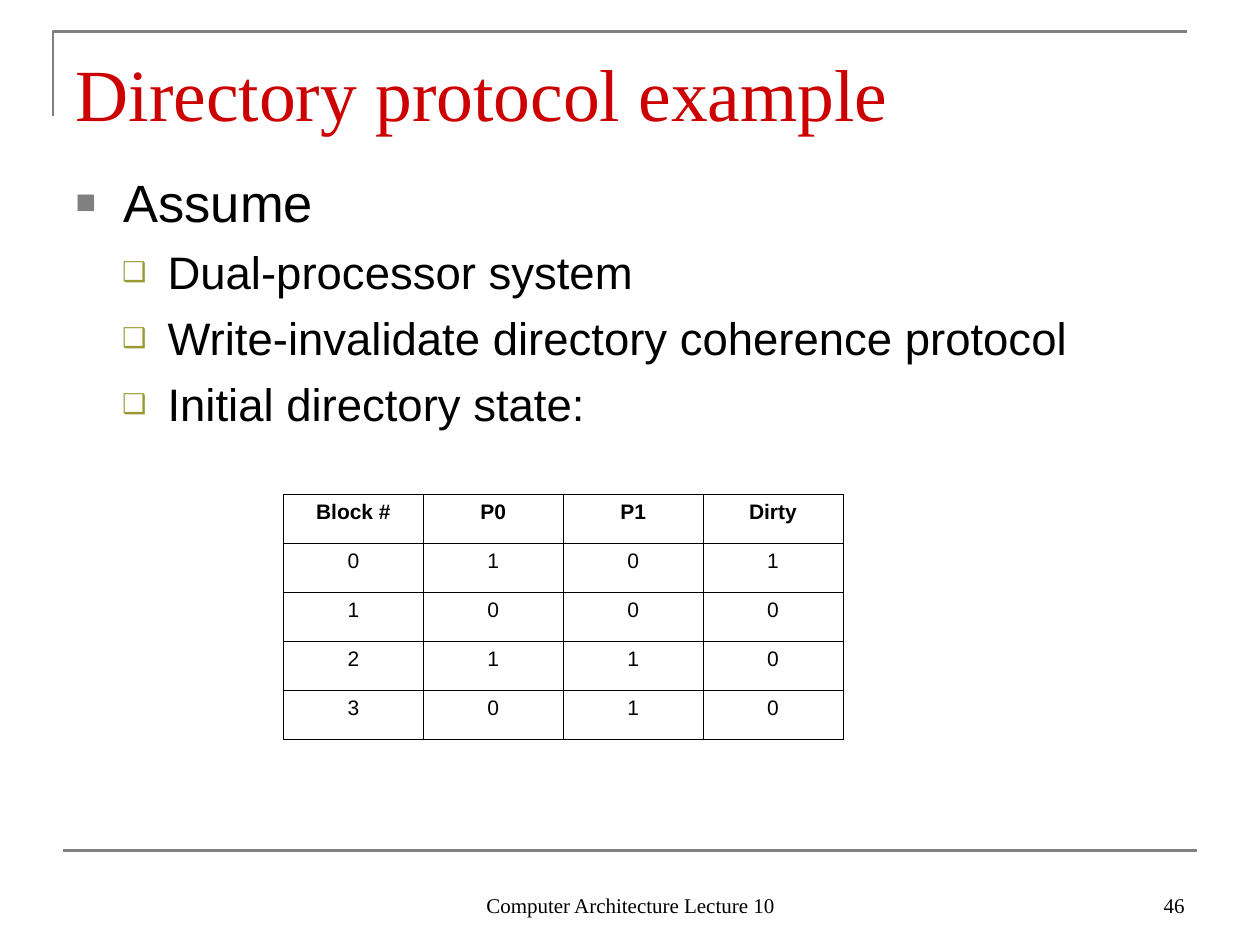
from dataclasses import dataclass

from lxml.etree import SubElement
from pptx import Presentation
from pptx.dml.color import RGBColor
from pptx.enum.shapes import MSO_CONNECTOR
from pptx.enum.text import MSO_ANCHOR as Anchor, MSO_AUTO_SIZE as AutoSize, PP_ALIGN as Align
from pptx.oxml.ns import qn
from pptx.util import Inches, Pt


@dataclass(frozen=True)
class Theme:
    heading_font: str = "Times New Roman"
    body_font: str = "Arial"
    title_color: str = "CC0000"
    text_color: str = "000000"
    rule_color: str = "808080"
    accent_color: str = "999933"
    cell_color: str = "FFFFFF"
    title_size: float = 42
    body_sizes: tuple = (30, 26)
    small_size: float = 12
    rule_width: float = 1.5
    border_width: float = 0.45


class SlideBuilder:
    def __init__(self, slide, theme):
        self.slide = slide
        self.theme = theme

    def place(self, shape, left, top, width, height):
        shape.left, shape.top = Inches(left), Inches(top)
        shape.width, shape.height = Inches(width), Inches(height)

    def add_run(self, paragraph, text, font, size, color, bold=False):
        run = paragraph.add_run()
        run.text = text
        run.font.name = font
        run.font.size = Pt(size)
        run.font.bold = bold
        run.font.color.rgb = RGBColor.from_string(color)

    def style_rule(self, shape):
        shape.line.color.rgb = RGBColor.from_string(self.theme.rule_color)
        shape.line.width = Pt(self.theme.rule_width)

    def corner(self, left, top, right, bottom):
        builder = self.slide.shapes.build_freeform(Inches(left), Inches(bottom))
        points = [(left, top), (right, top)]
        builder.add_line_segments([(Inches(x), Inches(y)) for x, y in points], close=False)
        shape = builder.convert_to_shape()
        shape.shadow.inherit = False
        shape.fill.background()
        self.style_rule(shape)

    def rule(self, left, right, y):
        connector = self.slide.shapes.add_connector(
            MSO_CONNECTOR.STRAIGHT, Inches(left), Inches(y), Inches(right), Inches(y))
        self.style_rule(connector)
        SubElement(connector._element.spPr, qn("a:effectLst"))

    def title(self, text, *box):
        theme = self.theme
        shape = self.slide.shapes.title
        self.place(shape, *box)
        frame = shape.text_frame
        frame.auto_size = AutoSize.NONE
        frame.vertical_anchor = Anchor.BOTTOM
        frame.margin_top = frame.margin_bottom = 0
        paragraph = frame.paragraphs[0]
        paragraph.alignment = Align.LEFT
        self.add_run(paragraph, text, theme.heading_font, theme.title_size, theme.title_color)

    def bullet(self, paragraph, level):
        theme = self.theme
        margin, indent, color, percent, character = (
            (0.38, -0.38, theme.rule_color, 65, "■"),
            (0.73, -0.36, theme.accent_color, 60, "❑"),
        )[level]
        properties = paragraph._p.get_or_add_pPr()
        properties.set("marL", str(Inches(margin)))
        properties.set("indent", str(Inches(indent)))
        SubElement(SubElement(properties, qn("a:buClr")), qn("a:srgbClr"), val=color)
        SubElement(properties, qn("a:buSzPct"), val=str(percent * 1000))
        SubElement(properties, qn("a:buFont"), typeface=theme.body_font)
        SubElement(properties, qn("a:buChar"), char=character)

    def body(self, items, *box):
        theme = self.theme
        shape = self.slide.placeholders[1]
        self.place(shape, *box)
        frame = shape.text_frame
        frame.auto_size = AutoSize.NONE
        frame.margin_top = Inches(0.1)
        for index, (level, text) in enumerate(items):
            paragraph = frame.add_paragraph() if index else frame.paragraphs[0]
            paragraph.level = level
            paragraph.space_before = Pt(6.5 if index else 0)
            self.bullet(paragraph, level)
            self.add_run(paragraph, text, theme.body_font, theme.body_sizes[level],
                         theme.text_color)

    def footer(self, text, alignment, *box):
        theme = self.theme
        frame = self.slide.shapes.add_textbox(*map(Inches, box)).text_frame
        frame.word_wrap = True
        frame.vertical_anchor = Anchor.BOTTOM
        paragraph = frame.paragraphs[0]
        paragraph.alignment = alignment
        self.add_run(paragraph, text, theme.heading_font, theme.small_size, theme.text_color)

    def border(self, cell):
        properties = cell._tc.get_or_add_tcPr()
        for position, side in enumerate(("a:lnL", "a:lnR", "a:lnT", "a:lnB")):
            line = properties.makeelement(qn(side), {"w": str(Pt(self.theme.border_width))})
            fill = SubElement(line, qn("a:solidFill"))
            SubElement(fill, qn("a:srgbClr"), val=self.theme.text_color)
            properties.insert(position, line)

    def table(self, rows, left, top, column_width, row_height):
        theme = self.theme
        columns = len(rows[0])
        table = self.slide.shapes.add_table(
            len(rows), columns, Inches(left), Inches(top),
            Inches(column_width * columns), Inches(row_height * len(rows))).table
        table.horz_banding = False
        for row_index, row in enumerate(rows):
            for column_index, text in enumerate(row):
                cell = table.cell(row_index, column_index)
                cell.margin_left = cell.margin_right = Inches(0.08)
                if row_index:
                    cell.fill.solid()
                    cell.fill.fore_color.rgb = RGBColor.from_string(theme.cell_color)
                else:
                    cell.fill.background()
                self.border(cell)
                paragraph = cell.text_frame.paragraphs[0]
                paragraph.alignment = Align.CENTER
                self.add_run(paragraph, text, theme.body_font, theme.small_size,
                             theme.text_color, bold=row_index == 0)


def main():
    presentation = Presentation()
    presentation.slide_width, presentation.slide_height = Inches(10), Inches(7.5)
    slide = presentation.slides.add_slide(presentation.slide_layouts[1])
    builder = SlideBuilder(slide, Theme())
    builder.corner(0.42, 0.25, 9.42, 0.92)
    builder.rule(0.5, 9.5, 6.75)
    builder.title("Directory protocol example", 0.5, 0.3, 9, 0.78)
    builder.body([
        (0, "Assume"),
        (1, "Dual-processor system"),
        (1, "Write-invalidate directory coherence protocol"),
        (1, "Initial directory state:"),
    ], 0.5, 1.25, 9, 2.67)
    builder.footer("Computer Architecture Lecture 10", Align.CENTER, 3.42, 6.83, 3.17, 0.5)
    builder.footer("46", Align.RIGHT, 7.17, 6.83, 2.33, 0.5)
    builder.table([
        ("Block #", "P0", "P1", "Dirty"),
        ("0", "1", "0", "1"),
        ("1", "0", "0", "0"),
        ("2", "1", "1", "0"),
        ("3", "0", "1", "0"),
    ], 2.25, 3.92, 1.11, 0.39)
    presentation.save("out.pptx")


if __name__ == "__main__":
    main()
